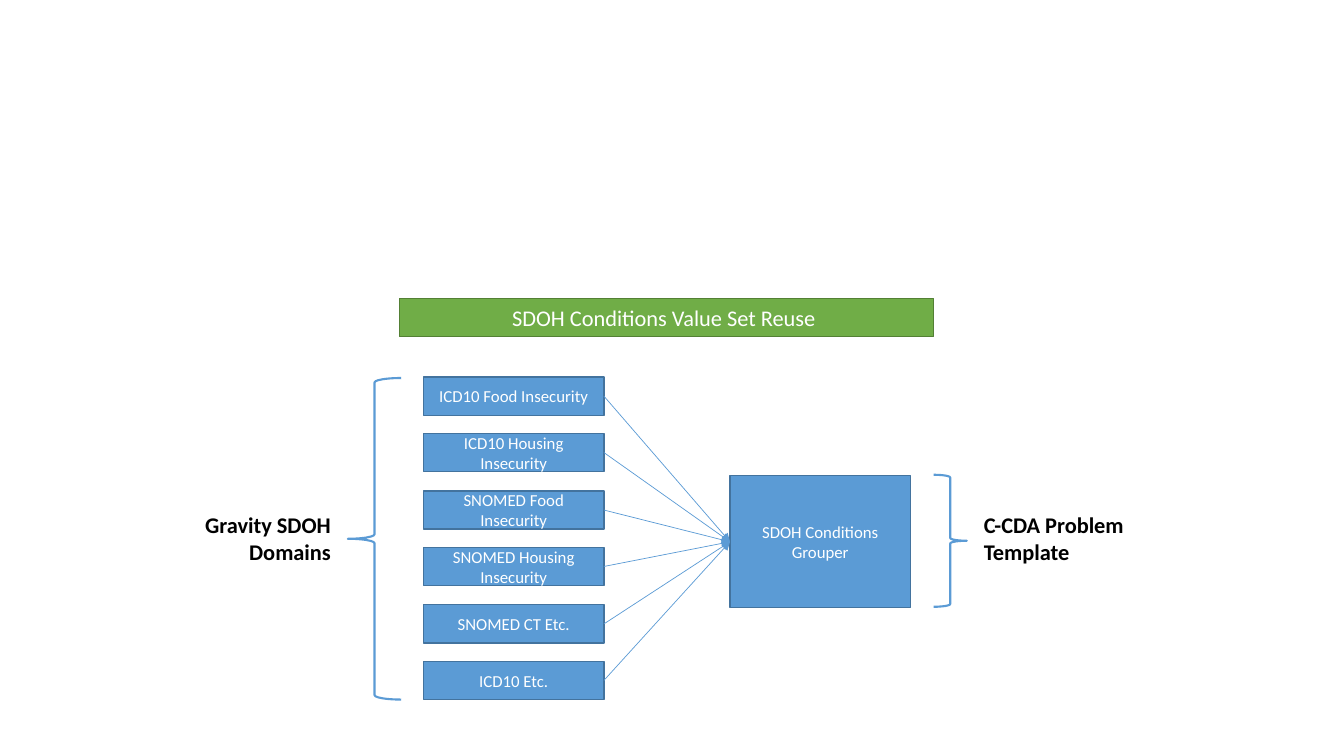
"""Builds the SDOH conditions value set reuse slide."""
from dataclasses import dataclass

from pptx import Presentation
from pptx.dml.color import RGBColor as Rgb
from pptx.enum.shapes import MSO_CONNECTOR as Connector, MSO_SHAPE as Shape
from pptx.enum.text import MSO_ANCHOR as Anchor, PP_ALIGN as Align
from pptx.oxml.ns import qn
from pptx.util import Emu, Pt
from lxml.etree import SubElement

EMU_PER_PX = 9144
RIGHT_SIDE, LEFT_SIDE = 3, 1
VALUE_SETS = (
    "ICD10 Food Insecurity",
    "ICD10 Housing Insecurity",
    "SNOMED Food Insecurity",
    "SNOMED Housing Insecurity",
    "SNOMED CT Etc.",
    "ICD10 Etc.",
)
FIRST_TOP, ROW_STEP = 374, 56.4


@dataclass(frozen=True)
class Theme:
    font: str = "Calibri"
    blue: str = "5B9BD5"
    blue_edge: str = "43739E"
    green: str = "70AD47"
    green_edge: str = "538035"
    white: str = "FFFFFF"
    black: str = "000000"
    body: int = 12
    heading: int = 16


THEME = Theme()


def px(*lengths):
    return [Emu(length * EMU_PER_PX) for length in lengths]


def write(box, text, size, color, align, bold=False):
    frame = box.text_frame
    frame.word_wrap = True
    frame.vertical_anchor = Anchor.MIDDLE
    para = frame.paragraphs[0]
    para.alignment = align
    span = para.add_run()
    span.text = text
    span.font.name = THEME.font
    span.font.size = Pt(size)
    span.font.bold = bold
    span.font.color.rgb = Rgb.from_string(color)


def add_outlined(page, kind, place, edge, width):
    box = page.shapes.add_shape(kind, *px(*place))
    box.shadow.inherit = False
    box.line.color.rgb = Rgb.from_string(edge)
    box.line.width = Pt(width)
    return box


def add_box(page, text, place, fill=THEME.blue, edge=THEME.blue_edge, size=THEME.body):
    box = add_outlined(page, Shape.RECTANGLE, place, edge, 1)
    box.fill.solid()
    box.fill.fore_color.rgb = Rgb.from_string(fill)
    write(box, text, size, THEME.white, Align.CENTER)
    return box


def add_brace(page, kind, place):
    add_outlined(page, kind, place, THEME.blue, 1.5).fill.background()


def add_label(page, text, place, align):
    label = page.shapes.add_textbox(*px(*place))
    write(label, text, THEME.heading, THEME.black, align, bold=True)


def add_arrow(page, source, target):
    arrow = page.shapes.add_connector(Connector.STRAIGHT, 0, 0, 0, 0)
    arrow.begin_connect(source, RIGHT_SIDE)
    arrow.end_connect(target, LEFT_SIDE)
    arrow.line.color.rgb = Rgb.from_string(THEME.blue)
    arrow.line.width = Pt(0.5)
    SubElement(arrow.line._get_or_add_ln(), qn("a:tailEnd"), type="triangle")
    SubElement(arrow._element.spPr, qn("a:effectLst"))


def main():
    deck = Presentation()
    deck.slide_width, deck.slide_height = px(1333, 750)
    page = deck.slides.add_slide(deck.slide_layouts[6])

    add_box(page, "SDOH Conditions Value Set Reuse ", (396, 296, 530, 38),
            THEME.green, THEME.green_edge, THEME.heading)
    grouper = add_box(page, "SDOH Conditions Grouper", (724, 472, 179, 131))
    for row, name in enumerate(VALUE_SETS):
        top = round(FIRST_TOP + row * ROW_STEP)
        add_arrow(page, add_box(page, name, (420, top, 179, 38)), grouper)

    add_brace(page, Shape.LEFT_BRACE, (345, 375, 53, 319))
    add_brace(page, Shape.RIGHT_BRACE, (926, 471, 33, 131))
    add_label(page, "Gravity SDOH Domains", (159, 515, 179, 38), Align.RIGHT)
    add_label(page, "C-CDA Problem Template", (966, 515, 179, 38), Align.LEFT)
    deck.save("out.pptx")


if __name__ == "__main__":
    main()
